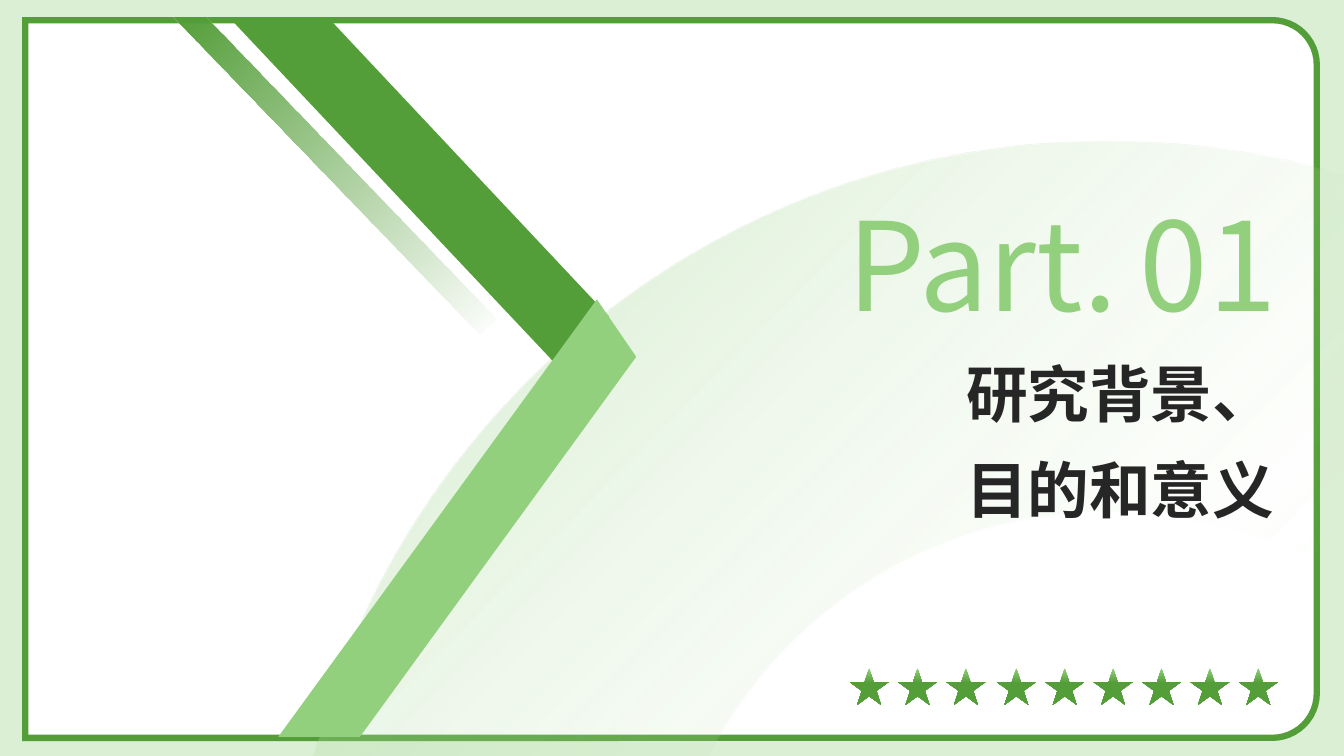
from math import cos, pi, sin

from lxml import etree
from pptx import Presentation
from pptx.dml.color import RGBColor
from pptx.enum.shapes import MSO_SHAPE as Shape
from pptx.enum.text import MSO_ANCHOR as Anchor, MSO_AUTO_SIZE as AutoSize, PP_ALIGN as Align
from pptx.oxml.ns import qn
from pptx.util import Inches, Pt

PALE = RGBColor(0xDB, 0xEF, 0xD4)
LIGHT = RGBColor(0x93, 0xD0, 0x7D)
DARK = RGBColor(0x54, 0x9E, 0x39)
WHITE = RGBColor(0xFF, 0xFF, 0xFF)
INK = RGBColor(0x26, 0x26, 0x26)
FONT = "Noto Sans CJK SC"

NUMBER_STYLE = {"size": Pt(88), "name": FONT, "bold": False}
HEADING_STYLE = {"size": Pt(44), "name": FONT, "bold": True}


def fill_solid(shape, color):
    shape.shadow.inherit = False
    shape.line.fill.background()
    shape.fill.solid()
    shape.fill.fore_color.rgb = color


def fill_gradient(shape, stops, angle):
    """Stops are (position %, colour, opacity %)."""
    fill_solid(shape, stops[0][1])
    solid = shape.fill._xPr.find(qn("a:solidFill"))
    gradient = etree.Element(qn("a:gradFill"), rotWithShape="1")
    stop_list = etree.SubElement(gradient, qn("a:gsLst"))
    for position, color, opacity in stops:
        stop = etree.SubElement(stop_list, qn("a:gs"), pos=str(position * 1000))
        color_element = etree.SubElement(stop, qn("a:srgbClr"), val=str(color))
        if opacity < 100:
            etree.SubElement(color_element, qn("a:alpha"), val=str(opacity * 1000))
    etree.SubElement(gradient, qn("a:lin"), ang=str(angle * 60000), scaled="0")
    solid.getparent().replace(solid, gradient)


def curve(start, control_1, control_2, end, steps=40):
    """Points along a cubic curve, without its start."""
    points = []
    for step in range(1, steps + 1):
        t = step / steps
        weights = ((1 - t) ** 3, 3 * t * (1 - t) ** 2, 3 * t * t * (1 - t), t ** 3)
        corners = (start, control_1, control_2, end)
        points.append(tuple(sum(w * corner[axis] for w, corner in zip(weights, corners))
                            for axis in (0, 1)))
    return points


def add_outline(slide, left, top, *contours):
    builder = None
    for points in contours:
        corners = [(Inches(left + x), Inches(top + y)) for x, y in points]
        if builder is None:
            builder = slide.shapes.build_freeform(*corners[0], scale=1.0)
        else:
            builder.move_to(*corners[0])
        builder.add_line_segments(corners[1:], close=True)
    return builder.convert_to_shape()


def write_text(shape, lines, style, color, spacing, anchor):
    frame = shape.text_frame
    frame.word_wrap = True
    frame.auto_size = AutoSize.NONE
    frame.vertical_anchor = anchor
    for side in ("left", "top", "right", "bottom"):
        setattr(frame, f"margin_{side}", 0)
    for index, line in enumerate(lines):
        paragraph = frame.paragraphs[0] if index == 0 else frame.add_paragraph()
        paragraph.alignment = Align.RIGHT
        paragraph.line_spacing = spacing
        paragraph.space_before = Pt(0)
        run = paragraph.add_run()
        run.text = line
        for name, value in style.items():
            setattr(run.font, name, value)
        run.font.color.rgb = color
        etree.SubElement(run.font._element, qn("a:ea"), typeface=FONT)


def add_frame(slide, left, top, width, height):
    backdrop = slide.shapes.add_shape(Shape.RECTANGLE, 0, 0, Inches(13.33), Inches(7.5))
    fill_solid(backdrop, PALE)
    # The card is turned a quarter so that its rounded corners face right
    shift = (width - height) / 2
    card = slide.shapes.add_shape(Shape.ROUND_2_SAME_RECTANGLE, Inches(left + shift),
                                  Inches(top - shift), Inches(height), Inches(width))
    card.rotation = 90
    card.adjustments[0] = 0.062
    card.adjustments[1] = 0
    fill_solid(card, WHITE)
    card.line.color.rgb = DARK
    card.line.width = Pt(4.5)
    # Sharp left corners
    etree.SubElement(card.line._ln, qn("a:miter"), lim="800000")


def add_arch(slide, left, top):
    points = [(7.92, 0)]
    points += curve((7.92, 0), (8.62, 0), (9.3, 0.09), (9.95, 0.25))
    points += [(10.27, 0.35), (10.27, 4.35), (10.22, 4.31)]
    points += curve((10.22, 4.31), (9.55, 3.91), (8.76, 3.67), (7.92, 3.67))
    points += curve((7.92, 3.67), (6.16, 3.67), (4.63, 4.7), (3.92, 6.19))
    points += [(3.83, 6.37), (0, 6.37), (0.06, 6.08)]
    points += curve((0.06, 6.08), (0.96, 2.58), (4.14, 0), (7.92, 0))
    fill_gradient(add_outline(slide, left, top, points),
                  [(0, LIGHT, 46), (85, PALE, 0)], 45)


def add_bands(slide, left, top):
    upper = [(1.53, 0), (0.55, 0), (3.8, 3.45), (4.32, 2.97)]
    lower = [(4.2, 2.8), (1.04, 7.14), (1.85, 7.14), (4.59, 3.37)]
    thin = [(0.33, 0), (0, 0), (3.03, 3.15), (3.2, 2.99)]
    fill_solid(add_outline(slide, left, top, upper), DARK)
    fill_solid(add_outline(slide, left, top, lower), LIGHT)
    fill_gradient(add_outline(slide, left, top, thin),
                  [(0, DARK, 100), (100, DARK, 0)], 46)


def add_heading(slide, left, top, width):
    right = left + width
    # Part label and number
    for text, box_right, box_width in (("Part.", right - 1.55, 3.54), ("01", right + 0.02, 2.07)):
        box = slide.shapes.add_textbox(Inches(box_right - box_width), Inches(top),
                                       Inches(box_width), Inches(1.49))
        write_text(box, [text], NUMBER_STYLE, LIGHT, 1.05, Anchor.BOTTOM)
    # Section title, brought in front of the artwork
    title = slide.shapes.title
    title.left, title.top = Inches(left), Inches(top + 1.47)
    title.width, title.height = Inches(width), Inches(2.5)
    write_text(title, ["研究背景、", "目的和意义"], HEADING_STYLE, INK, 1.3, Anchor.TOP)
    slide.shapes._spTree.append(title._element)


def add_stars(slide, left, top):
    radius = 0.2
    stars = []
    for index in range(9):
        # Three stars, a slightly wider gap, then six more
        center = radius + index * 0.48 + (0.02 if index >= 3 else 0)
        star = []
        for corner in range(10):
            reach = radius if corner % 2 == 0 else radius * 0.38
            angle = corner * pi / 5
            star.append((center + reach * sin(angle), radius - reach * cos(angle)))
        stars.append(star)
    fill_gradient(add_outline(slide, left, top, *stars),
                  [(0, LIGHT, 100), (40, DARK, 100)], 90)


def main():
    presentation = Presentation()
    presentation.slide_width = Inches(13.33)
    presentation.slide_height = Inches(7.5)
    slide = presentation.slides.add_slide(presentation.slide_layouts[5])
    add_frame(slide, 0.25, 0.2, 12.81, 7.12)
    add_arch(slide, 3.06, 1.41)
    add_bands(slide, 1.72, 0.17)
    add_heading(slide, 6.37, 1.84, 6.27)
    add_stars(slide, 8.42, 6.63)
    presentation.save("out.pptx")


if __name__ == "__main__":
    main()
